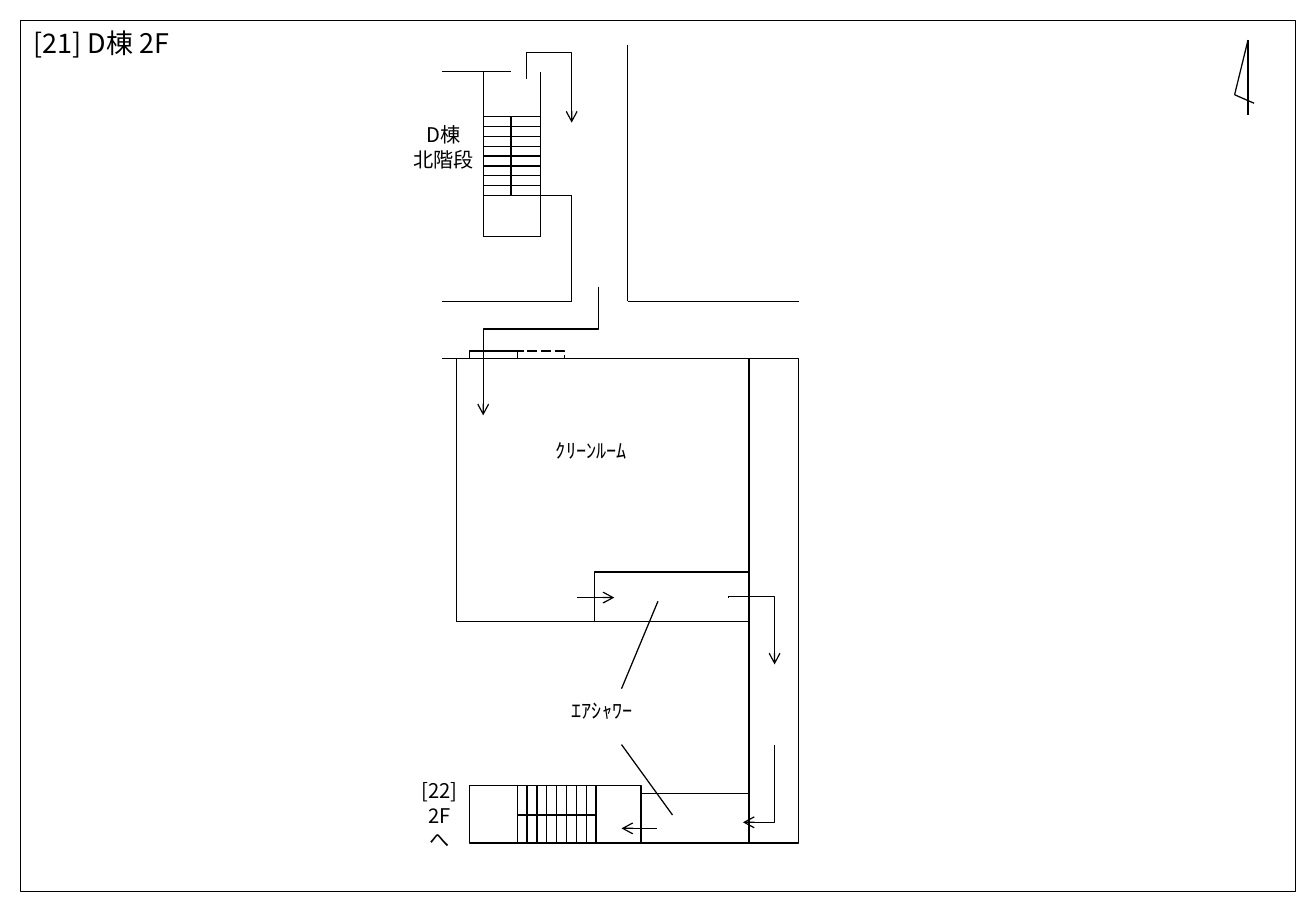
from dataclasses import dataclass
from typing import Optional

import lxml.etree
import pptx
import pptx.dml.color
import pptx.enum.dml
import pptx.enum.shapes
import pptx.enum.text
import pptx.oxml.ns
import pptx.util

Inches = pptx.util.Inches
COLORS = {"ink": "000000"}
FONT = "Noto Sans CJK JP"
LINE_WIDTH = 0.75
TREADS = 9
STAIR_LENGTH = 0.65


@dataclass
class Line:
    x1: float
    y1: float
    x2: float
    y2: float
    arrow: bool = False


@dataclass
class Route:
    """Bent arrow that leaves vertically; turn_y is the height of its crossing."""
    x1: float
    y1: float
    x2: float
    y2: float
    turn_y: Optional[float] = None


@dataclass
class Room:
    left: float
    top: float
    width: float
    height: float
    dashed: bool = False


FRAME = Room(0.17, 0.17, 10.5, 7.17)

ROOMS = [
    Room(4.9, 4.71, 1.27, 0.41),  # upper air shower
    Room(5.28, 6.53, 0.89, 0.41),  # lower air shower
    Room(6.17, 2.95, 0.41, 3.99),  # corridor
    Room(3.87, 6.47, 1.41, 0.47),  # south stairwell
    Room(3.87, 2.89, 0.39, 0.06),  # sliding door
    Room(4.26, 2.89, 0.39, 0.06, dashed=True),  # open door position
]

WALLS = [
    # North stairwell
    Line(3.64, 0.59, 4.21, 0.59),
    Line(3.98, 0.59, 3.98, 1.95),
    Line(3.98, 1.95, 4.45, 1.95),
    Line(4.45, 1.95, 4.45, 0.59),
    # Passage
    Line(4.45, 1.61, 4.71, 1.61),
    Line(4.71, 1.61, 4.71, 2.48),
    Line(4.71, 2.48, 3.64, 2.48),
    Line(5.17, 0.37, 5.17, 2.48),
    Line(5.17, 2.48, 6.58, 2.48),
    # Clean room
    Line(6.17, 2.95, 4.26, 2.95),
    Line(3.87, 2.95, 3.64, 2.95),
    Line(3.76, 5.12, 3.76, 2.95),
    Line(4.91, 5.12, 3.76, 5.12),
]

STAIR_RAILS = [Line(4.21, 0.96, 4.21, 1.61), Line(4.91, 6.71, 4.26, 6.71)]
LEADERS = [Line(5.12, 5.67, 5.42, 4.95), Line(5.12, 6.13, 5.54, 6.71)]
NORTH_MARK = [
    Line(10.28, 0.33, 10.28, 0.95),
    Line(10.28, 0.33, 10.17, 0.78),
    Line(10.17, 0.78, 10.33, 0.85),
]
ARROWS = [
    Line(4.75, 4.92, 5.06, 4.92, arrow=True),
    Line(5.41, 6.82, 5.12, 6.82, arrow=True),
]
ROUTES = [
    Route(4.34, 0.65, 4.71, 1.01, turn_y=0.43),
    Route(4.93, 2.36, 3.98, 3.42, turn_y=2.71),
    Route(6, 4.92, 6.38, 5.47, turn_y=4.91),
    Route(6.38, 6.13, 6.12, 6.77),
]


def stair_treads() -> list[Line]:
    treads = []
    for i in range(TREADS):
        offset = i * STAIR_LENGTH / (TREADS - 1)
        treads.append(Line(3.98, 0.96 + offset, 4.45, 0.96 + offset))
        treads.append(Line(4.26 + offset, 6.47, 4.26 + offset, 6.94))
    return treads


def ink() -> pptx.dml.color.RGBColor:
    return pptx.dml.color.RGBColor.from_string(COLORS["ink"])


def style_connector(connector, arrow: bool) -> None:
    connector.line.color.rgb = ink()
    connector.line.width = pptx.util.Pt(LINE_WIDTH)
    if arrow:
        outline = connector.get_or_add_ln()
        lxml.etree.SubElement(outline, pptx.oxml.ns.qn("a:tailEnd"), type="arrow")
    lxml.etree.SubElement(connector.element.spPr, pptx.oxml.ns.qn("a:effectLst"))


def draw_line(page, line: Line) -> None:
    connector = page.shapes.add_connector(
        pptx.enum.shapes.MSO_CONNECTOR.STRAIGHT,
        Inches(line.x1), Inches(line.y1), Inches(line.x2), Inches(line.y2))
    style_connector(connector, line.arrow)


def draw_route(page, route: Route) -> None:
    # The box is laid out sideways, then turned about its centre
    half_length = abs(route.y2 - route.y1) / 2
    half_breadth = abs(route.x2 - route.x1) / 2
    x, y = (route.x1 + route.x2) / 2, (route.y1 + route.y2) / 2
    connector = page.shapes.add_connector(
        pptx.enum.shapes.MSO_CONNECTOR.ELBOW,
        Inches(x - half_length), Inches(y - half_breadth),
        Inches(x + half_length), Inches(y + half_breadth))
    properties = connector.element.spPr
    frame = properties.find(pptx.oxml.ns.qn("a:xfrm"))
    goes_right = route.x2 > route.x1
    frame.set("rot", str((270 if goes_right else 90) * 60000))
    if goes_right:
        frame.set("flipH", "1")
    geometry = properties.find(pptx.oxml.ns.qn("a:prstGeom"))
    if route.turn_y is None:
        geometry.set("prst", "bentConnector2")
    else:
        share = (route.turn_y - route.y1) / (route.y2 - route.y1)
        guides = geometry.find(pptx.oxml.ns.qn("a:avLst"))
        lxml.etree.SubElement(guides, pptx.oxml.ns.qn("a:gd"), name="adj1",
                              fmla=f"val {round(share * 100000)}")
    style_connector(connector, arrow=True)


def draw_room(page, room: Room) -> None:
    shape = page.shapes.add_shape(
        pptx.enum.shapes.MSO_SHAPE.RECTANGLE, Inches(room.left), Inches(room.top),
        Inches(room.width), Inches(room.height))
    shape.shadow.inherit = False
    shape.fill.background()
    shape.line.color.rgb = ink()
    shape.line.width = pptx.util.Pt(LINE_WIDTH)
    if room.dashed:
        shape.line.dash_style = pptx.enum.dml.MSO_LINE.LONG_DASH


def add_label(page, text: str, *, left: float, top: float, width: float, height: float,
              size: float = 12, centred: bool = False,
              inset: tuple[float, float] = (0, 0)) -> None:
    box = page.shapes.add_textbox(Inches(left), Inches(top), Inches(width), Inches(height))
    frame = box.text_frame
    frame.word_wrap = True
    frame.auto_size = pptx.enum.text.MSO_AUTO_SIZE.SHAPE_TO_FIT_TEXT
    frame.margin_left = frame.margin_right = Inches(inset[0])
    frame.margin_top = frame.margin_bottom = Inches(inset[1])
    for i, words in enumerate(text.split("\n")):
        para = frame.add_paragraph() if i else frame.paragraphs[0]
        align = pptx.enum.text.PP_ALIGN
        para.alignment = align.CENTER if centred else align.LEFT
        para.line_spacing = pptx.util.Pt(size * 1.2)
        span = para.add_run()
        span.text = words
        span.font.size = pptx.util.Pt(size)
        span.font.color.rgb = ink()
        span.font.name = FONT
        lxml.etree.SubElement(span.font._element, pptx.oxml.ns.qn("a:ea"), typeface=FONT)


def main() -> None:
    deck = pptx.Presentation()
    deck.slide_width, deck.slide_height = Inches(10.84), Inches(7.5)
    page = deck.slides.add_slide(deck.slide_layouts[6])

    # Floor plan
    for room in [FRAME, *ROOMS]:
        draw_room(page, room)
    for line in [*WALLS, *stair_treads(), *STAIR_RAILS, *LEADERS, *NORTH_MARK, *ARROWS]:
        draw_line(page, line)
    for route in ROUTES:
        draw_route(page, route)

    # Labels
    add_label(page, "[21] D棟 2F", left=0.18, top=0.17, width=1.8, height=0.37,
              size=16, inset=(0.1, 0.05))
    add_label(page, "D棟\n北階段", left=3.33, top=1.01, width=0.65, height=0.4, centred=True)
    add_label(page, "ｸﾘｰﾝﾙｰﾑ", left=4.58, top=3.61, width=0.64, height=0.2)
    add_label(page, "ｴｱｼｬﾜｰ", left=4.71, top=5.75, width=0.55, height=0.2)
    add_label(page, "[22]\n2F\nへ", left=3.41, top=6.41, width=0.42, height=0.6, centred=True)

    deck.save("out.pptx")


if __name__ == "__main__":
    main()
